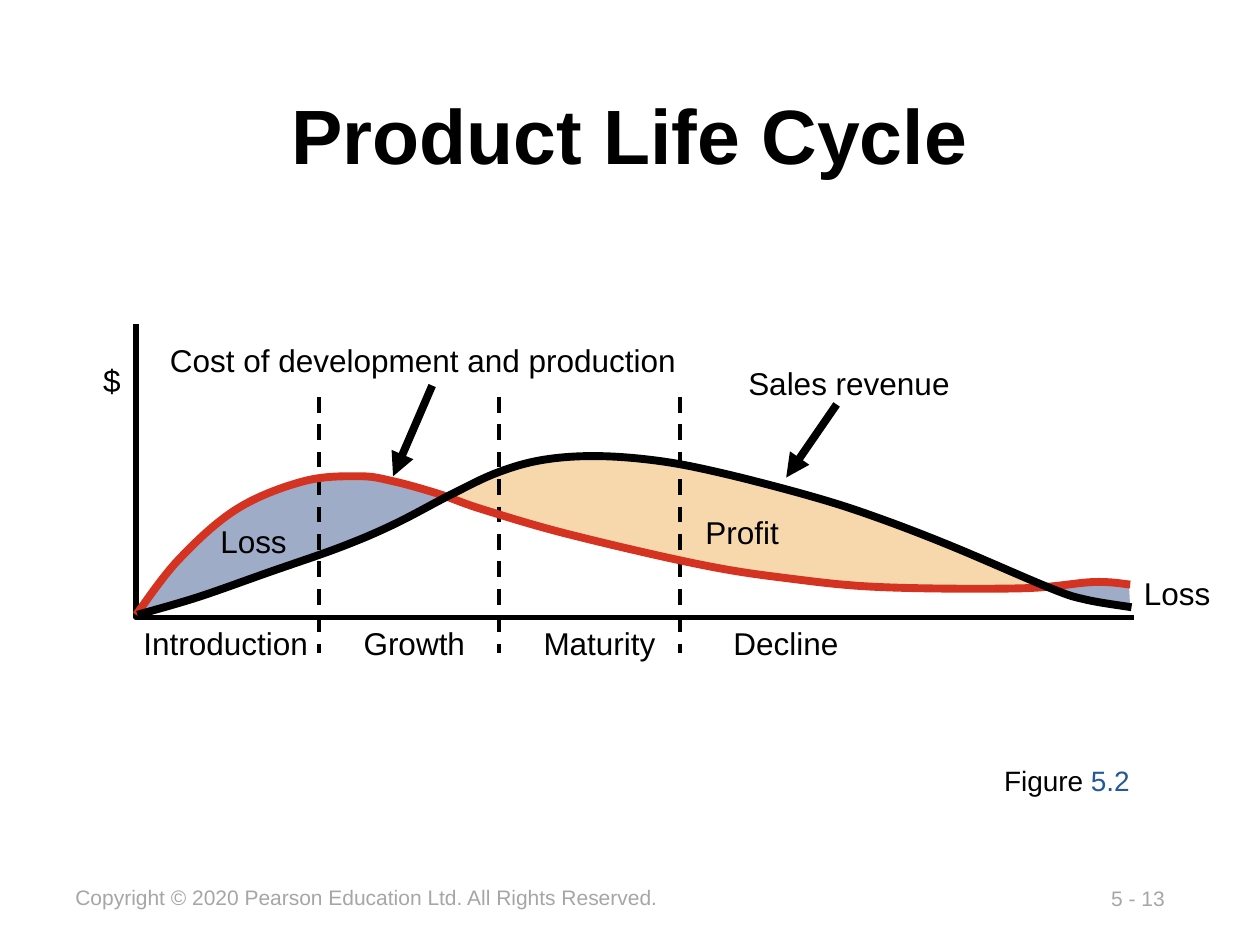
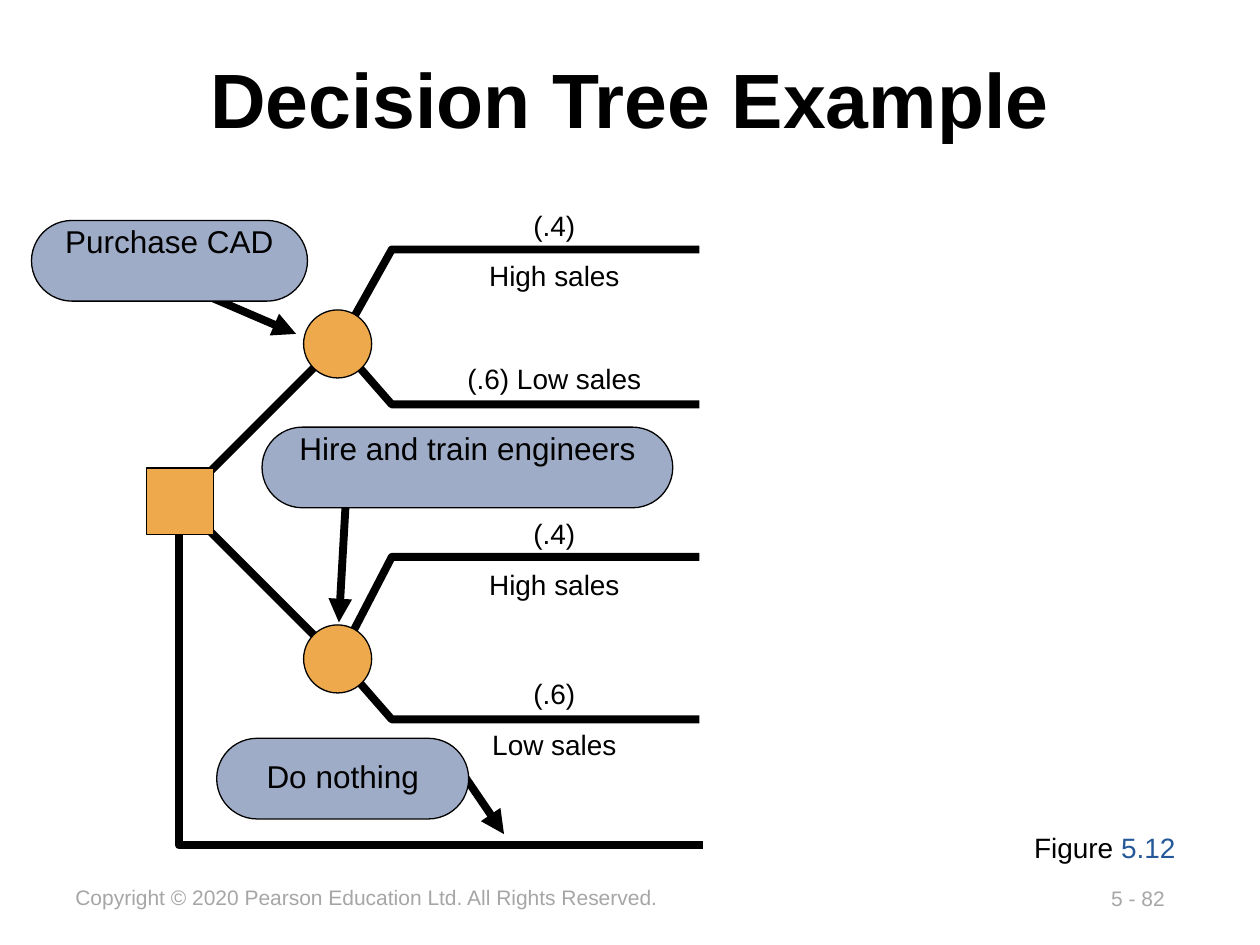
from lxml.etree import SubElement
from pptx import Presentation
from pptx.dml.color import RGBColor
from pptx.enum.dml import MSO_LINE
from pptx.enum.shapes import MSO_CONNECTOR, MSO_SHAPE
from pptx.enum.text import MSO_ANCHOR, MSO_AUTO_SIZE, PP_ALIGN
from pptx.oxml.ns import qn
from pptx.util import Inches, Pt

FONT = "Arial"
COLORS = {
    "ink": "000000",
    "footer": "A6A6A6",
    "figure": "255898",
    "loss": "9FACC7",
    "profit": "F7D7AC",
    "cost": "D33320",
    "node": "EEA94C",
    "callout": "9FACC7",
}
HEAVY = 4.5
COPYRIGHT = "Copyright © 2020 Pearson Education Ltd. All Rights Reserved."

COST = [(0, 2.31), (0.34, 1.87), (0.8, 1.47), (1.33, 1.25), (1.77, 1.21),
        (2.04, 1.25), (2.4, 1.35), (2.74, 1.47), (3.43, 1.67), (4.47, 1.91),
        (5.17, 2.02), (5.91, 2.09), (7.02, 2.1), (7.6, 2.05), (7.89, 2.07)]
REVENUE = [(0.01, 2.31), (0.49, 2.17), (1.06, 1.97), (1.63, 1.77), (2.05, 1.59),
           (2.51, 1.35), (2.87, 1.18), (3.23, 1.08), (3.66, 1.05), (4.16, 1.09),
           (4.67, 1.19), (5.36, 1.37), (5.86, 1.53), (6.46, 1.76), (7.26, 2.1),
           (7.54, 2.19), (7.9, 2.25)]
AREAS = [
    ("profit", [(7.22, 2.08), (6.46, 1.78), (6.58, 1.81), (6.13, 1.62), (5.66, 1.46),
                (4.98, 1.26), (4.31, 1.11), (3.8, 1.05), (3.33, 1.06), (2.95, 1.15),
                (2.64, 1.28), (2.48, 1.37), (2.87, 1.51), (3.32, 1.64), (3.73, 1.75),
                (4.3, 1.87), (4.92, 1.99), (5.62, 2.08), (6.37, 2.09), (6.88, 2.1)]),
    ("loss", [(0, 2.31), (0.24, 1.98), (0.53, 1.67), (0.83, 1.43), (1.22, 1.29),
              (1.46, 1.21), (1.8, 1.2), (2.04, 1.24), (2.35, 1.32), (2.46, 1.37),
              (1.95, 1.63), (1.52, 1.8), (0.92, 2.03), (0.45, 2.19)]),
    ("loss", [(7.88, 2.06), (7.66, 2.05), (7.48, 2.07), (7.29, 2.09), (7.49, 2.19),
              (7.72, 2.23), (7.89, 2.25)]),
]


def color(name):
    """Return the named colour."""
    return RGBColor.from_string(COLORS[name])


def style_font(font, size, name="ink", bold=False):
    """Set face, size, weight and colour of a font."""
    font.name = FONT
    font.size = Pt(size)
    font.bold = bold
    font.color.rgb = color(name)


def style_shape(shape, fill=None, line=None, weight=0.75):
    """Set fill and outline, leaving out what is not named."""
    shape.shadow.inherit = False
    if fill:
        shape.fill.solid()
        shape.fill.fore_color.rgb = color(fill)
    else:
        shape.fill.background()
    if line:
        shape.line.color.rgb = color(line)
        shape.line.width = Pt(weight)
    else:
        shape.line.fill.background()


def add_label(page, box, lines, size=18, name="ink", align=None, spacing=None):
    """Add unwrapped text, one paragraph for each line."""
    frame = page.shapes.add_textbox(*map(Inches, box)).text_frame
    frame.word_wrap = False
    frame.auto_size = MSO_AUTO_SIZE.SHAPE_TO_FIT_TEXT
    frame.text = "\n".join(lines)
    for para in frame.paragraphs:
        para.alignment = align
        para.line_spacing = spacing
        style_font(para.font, size, name)
    return frame


def add_line(page, start, end, weight=HEAVY, arrow=False, dash=False):
    """Add a straight line, with an arrowhead or dashes if asked."""
    line = page.shapes.add_connector(
        MSO_CONNECTOR.STRAIGHT, *map(Inches, (*start, *end)))
    line.line.color.rgb = color("ink")
    line.line.width = Pt(weight)
    if dash:
        line.line.dash_style = MSO_LINE.DASH
    if arrow:
        SubElement(line.line._get_or_add_ln(), qn("a:tailEnd"), type="triangle")
    SubElement(line._element.spPr, qn("a:effectLst"))


def add_outline(page, left, top, points, fill=None, line=None, weight=HEAVY):
    """Draw points relative to a corner, closed when filled."""
    places = [(Inches(left + x), Inches(top + y)) for x, y in points]
    builder = page.shapes.build_freeform(*places[0])
    builder.add_line_segments(places[1:], close=bool(fill))
    shape = builder.convert_to_shape()
    style_shape(shape, fill, line, weight)
    return shape


def smooth_outline(shape):
    """Turn the straight segments of an outline into one smooth curve."""
    outline = shape._element.spPr.find(".//" + qn("a:path"))
    points = [(int(point.get("x")), int(point.get("y")))
              for point in outline.iter(qn("a:pt"))]
    padded = [points[0], *points, points[-1]]
    segments = outline.findall(qn("a:lnTo"))
    for segment, a, b, c, d in zip(segments, padded, padded[1:], padded[2:], padded[3:]):
        segment.clear()
        segment.tag = qn("a:cubicBezTo")
        leave = [q + (r - p) / 6 for p, q, r in zip(a, b, c)]
        arrive = [r - (s - q) / 6 for q, r, s in zip(b, c, d)]
        for x, y in (leave, arrive, c):
            SubElement(segment, qn("a:pt"), x=str(round(x)), y=str(round(y)))


def add_page(deck, title, top, height, number):
    """Add a page with its title and footers."""
    page = deck.slides.add_slide(deck.slide_layouts[5])
    heading = page.shapes.title
    heading.left, heading.top = Inches(0.75), Inches(top)
    heading.width, heading.height = Inches(8.5), Inches(height)
    heading.text_frame.text = title
    heading.text_frame.vertical_anchor = MSO_ANCHOR.MIDDLE
    para = heading.text_frame.paragraphs[0]
    para.alignment = PP_ALIGN.CENTER
    style_font(para.font, 44, bold=True)
    add_label(page, (8.72, 6.98, 0.65, 0.3), [number], 12, "footer")
    add_label(page, (0.5, 6.97, 4.86, 0.3), [COPYRIGHT], 12, "footer")
    return page


def add_figure_number(page, box, number):
    """Add the figure caption with a coloured number."""
    para = add_label(page, box, ["Figure "], 16).paragraphs[0]
    span = para.add_run()
    span.text = number
    span.font.color.rgb = color("figure")


def add_stages(page, left, top):
    """Name the four stages along the time axis and divide them."""
    frame = add_label(page, (left - 0.04, top + 2.33, 5.77, 0.4), [""])
    para = frame.paragraphs[0]
    para.text = "Introduction\tGrowth\tMaturity\tDecline"
    tabs = SubElement(para._p.get_or_add_pPr(), qn("a:tabLst"))
    for place in (2.15, 3.62, 5.1):
        SubElement(tabs, qn("a:tab"), pos=str(Inches(place)), algn="ctr")
    style_font(para.font, 18)
    for x in (1.45, 2.88, 4.32):
        add_line(page, (left + x, top + 0.58), (left + x, top + 2.61), 2.25, dash=True)


def add_life_cycle(page, left, top):
    """Draw the cost and revenue curves from the top of the money axis."""
    for fill, points in AREAS:
        add_outline(page, left, top, points, fill=fill)
    add_outline(page, left, top, [(0, 0), (0, 2.33), (7.92, 2.33)], line="ink", weight=3)
    add_stages(page, left, top)
    for points, line in [(COST, "cost"), (REVENUE, "ink")]:
        smooth_outline(add_outline(page, left, top, points, line=line))
    for x, y, width, text in [
        (0.17, 0.09, 4.26, "Cost of development and production"),
        (4.76, 0.27, 1.88, "Sales revenue"),
        (4.42, 1.45, 0.79, "Profit"),
        (0.57, 1.52, 0.74, "Loss"),
        (7.9, 1.94, 0.73, "Loss"),
        (-0.36, 0.25, 0.34, "$"),
    ]:
        add_label(page, (left + x, top + y, width, 0.4), [text])
    for x, y, end_x, end_y in [(2.35, 0.49, 2.04, 1.21), (5.56, 0.64, 5.16, 1.22)]:
        add_line(page, (left + x, top + y), (left + end_x, top + end_y), arrow=True)


def add_branch(page, left, top, rise, label_top, width, lines):
    """Draw one outcome from a chance node, with its label centred on the line."""
    add_outline(page, left, top, [(0, 0), (0.42, rise), (2.86, rise)], line="ink")
    height = 0.07 + 0.41 * len(lines)
    add_label(page, (left + 1.71 - width / 2, top + label_top, width, height),
              lines, 16, align=PP_ALIGN.CENTER, spacing=1.5)


def add_node(page, preset, x, y, size):
    """Add a tree node centred on a point."""
    box = (x - size / 2, y - size / 2, size, size)
    node = page.shapes.add_shape(preset, *map(Inches, box))
    style_shape(node, "node", "ink")


def add_callout(page, box, text, text_box, start, end):
    """Add a rounded label whose arrow points at its part of the tree."""
    left, top, width, _ = box
    text_top, text_width, text_height = text_box
    add_line(page, start, end, arrow=True)
    pill = page.shapes.add_shape(MSO_SHAPE.ROUNDED_RECTANGLE, *map(Inches, box))
    pill.adjustments[0] = 0.5
    style_shape(pill, "callout", "ink")
    add_label(page, (left + (width - text_width) / 2, top + text_top, text_width, text_height),
              [text], align=PP_ALIGN.CENTER, spacing=0.9)


def add_decision_tree(page, left, top):
    """Draw the tree around the centre of its decision node."""
    node_x = left + 1.25
    chances = [
        (top - 1.25, [(-0.75, -1.26, 1.25, ["(.4)", "High sales"]),
                      (0.48, -0.04, 1.6, ["(.6) Low sales"])]),
        (top + 1.25, [(-0.81, -1.31, 1.25, ["(.4)", "High sales"]),
                      (0.48, -0.04, 1.2, ["(.6)", "Low sales"])]),
    ]
    add_outline(page, left, top, [(-0.01, 0), (-0.01, 2.73), (4.15, 2.73)], line="ink")
    for node_y, branches in chances:
        for branch in branches:
            add_branch(page, node_x + 0.01, node_y, *branch)
        add_line(page, (left, top), (node_x, node_y))
        add_node(page, MSO_SHAPE.OVAL, node_x, node_y, 0.54)
    add_node(page, MSO_SHAPE.RECTANGLE, left, top, 0.53)
    for x, y, width, text, text_box, start, end in [
        (-1.18, -2.23, 2.19, "Purchase CAD", (0, 1.87, 0.65),
         (0.15, -1.66), (0.92, -1.33)),
        (0.65, -0.59, 3.26, "Hire and train engineers", (0, 2.9, 0.65),
         (1.32, -0.1), (1.26, 0.96)),
        (0.29, 1.88, 2, "Do nothing", (0.13, 1.42, 0.38),
         (2.25, 2.17), (2.57, 2.64)),
    ]:
        add_callout(page, (left + x, top + y, width, 0.64), text, text_box,
                    (left + start[0], top + start[1]),
                    (left + end[0], top + end[1]))


def main():
    """Build the deck and save it."""
    deck = Presentation()
    deck.slide_width, deck.slide_height = Inches(10), Inches(7.5)
    page = add_page(deck, "Product Life Cycle", 0.36, 1.41, "5 - 13")
    add_life_cycle(page, 1.08, 2.57)
    add_figure_number(page, (7.87, 6.01, 1.21, 0.37), "5.2")
    page = add_page(deck, "Decision Tree Example", 0.26, 1.03, "5 - 82")
    add_decision_tree(page, 1.43, 3.98)
    add_figure_number(page, (8.11, 6.54, 1.34, 0.37), "5.12")
    deck.save("out.pptx")


if __name__ == "__main__":
    main()
